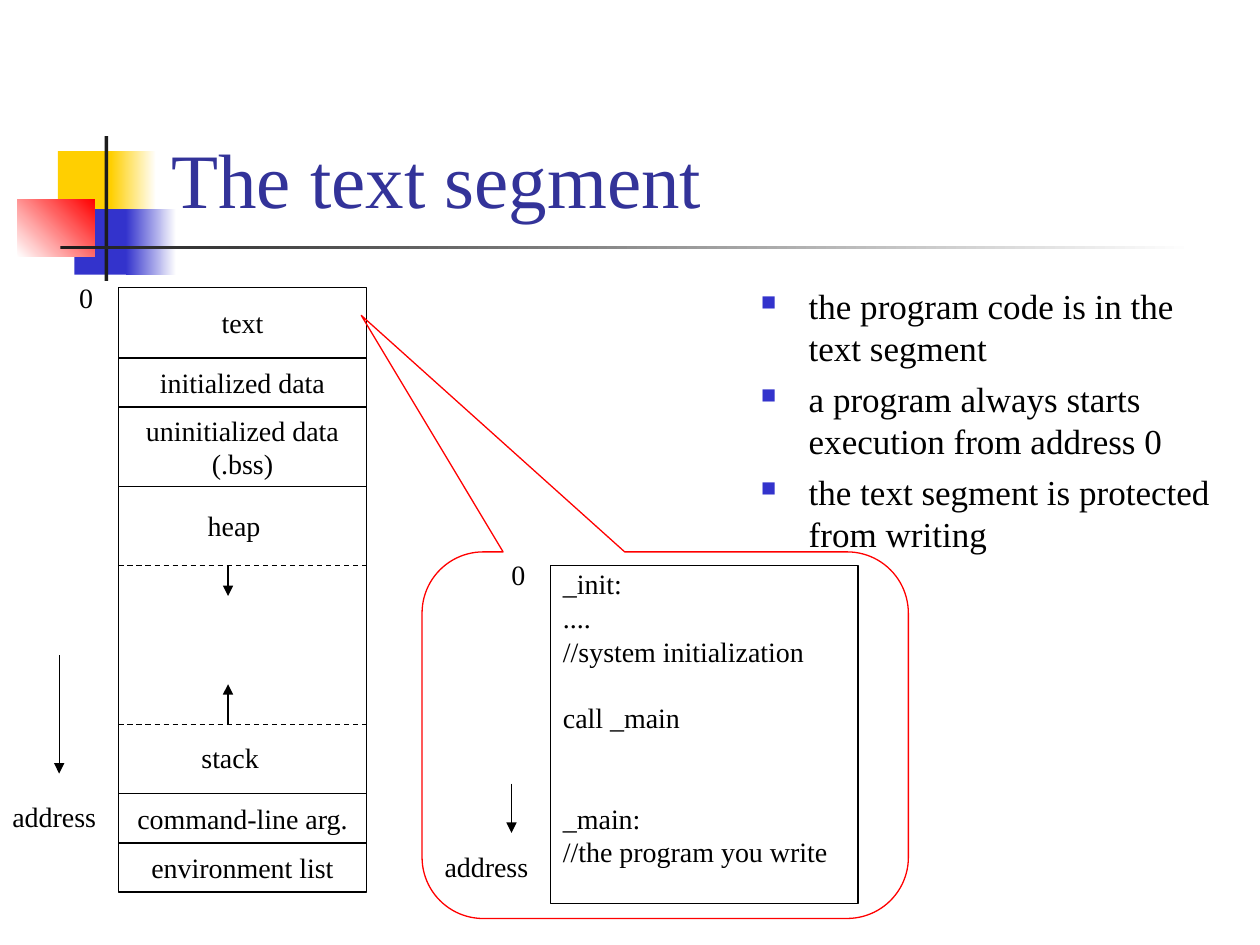
import pptx
import pptx.util
import pptx.dml.color
import pptx.enum.dml
import pptx.enum.shapes
import pptx.enum.text
import pptx.oxml
import pptx.oxml.ns
import lxml.etree

Inches, Pt = pptx.util.Inches, pptx.util.Pt
RGBColor = pptx.dml.color.RGBColor
SHAPES = pptx.enum.shapes.MSO_SHAPE
ALIGN = pptx.enum.text.PP_ALIGN
ANCHOR = pptx.enum.text.MSO_ANCHOR
qn = pptx.oxml.ns.qn

BLACK = RGBColor(0x00, 0x00, 0x00)
WHITE = RGBColor(0xFF, 0xFF, 0xFF)
YELLOW = RGBColor(0xFF, 0xCF, 0x01)
BLUE = RGBColor(0x33, 0x33, 0xCC)
RED = RGBColor(0xFF, 0x00, 0x00)
CHARCOAL = RGBColor(0x1C, 0x1C, 0x1C)
TITLE_BLUE = RGBColor(0x33, 0x33, 0x99)

FONT = "Times New Roman"
LABEL = {"size": Pt(16), "name": FONT}


def write(shape, lines, font=LABEL, color=BLACK, align=ALIGN.LEFT,
          anchor=ANCHOR.TOP, wrap=False):
    """Put one paragraph per line into a shape and return the paragraphs."""
    frame = shape.text_frame
    frame.word_wrap = wrap
    frame.vertical_anchor = anchor
    paras = []
    for index, line in enumerate(lines):
        para = frame.add_paragraph() if index else frame.paragraphs[0]
        para.alignment = align
        span = para.add_run()
        span.text = line
        for key, value in font.items():
            setattr(span.font, key, value)
        span.font.color.rgb = color
        paras.append(para)
    return paras


def add_text(page, left, top, width, height, lines, **style):
    box = page.shapes.add_textbox(*map(Inches, (left, top, width, height)))
    return write(box, lines, **style)


def add_label(page, left, top, width, text):
    """One-line label; the open right margin keeps the word whole."""
    box = page.shapes.add_textbox(*map(Inches, (left, top, width, 0.37)))
    box.text_frame.margin_right = 0
    write(box, [text], wrap=True)


def add_outline(page, left, top, width, height, color=BLACK, kind=SHAPES.RECTANGLE):
    shape = page.shapes.add_shape(kind, *map(Inches, (left, top, width, height)))
    shape.shadow.inherit = False
    shape.fill.background()
    shape.line.color.rgb = color
    shape.line.width = Pt(0.75)
    return shape


def add_block(page, left, top, width, height, start, end=None, angle=0):
    """Borderless block, plain or fading from start to end."""
    block = add_outline(page, left, top, width, height)
    block.line.fill.background()
    if end is None:
        block.fill.solid()
        block.fill.fore_color.rgb = start
        return
    block.fill.gradient()
    block.fill.gradient_angle = angle
    for stop, color in zip(block.fill.gradient_stops, (start, end)):
        stop.color.rgb = color


def add_line(page, x1, y1, x2, y2, dashed=False, arrow=False):
    line = page.shapes.add_connector(
        pptx.enum.shapes.MSO_CONNECTOR.STRAIGHT, *map(Inches, (x1, y1, x2, y2)))
    line.line.color.rgb = BLACK
    line.line.width = Pt(0.75)
    if dashed:
        line.line.dash_style = pptx.enum.dml.MSO_LINE.DASH
    properties = line._element.spPr
    if arrow:
        head = lxml.etree.SubElement(properties.find(qn("a:ln")), qn("a:tailEnd"))
        head.set("type", "triangle")
    lxml.etree.SubElement(properties, qn("a:effectLst"))


def add_ornament(page, left, top):
    """Coloured squares with a cross of dark bars."""
    for dx, dy, width, height, *colors in (
        (0.32, 0.12, 0.48, 0.52, YELLOW),
        (0.74, 0.12, 0.36, 0.52, YELLOW, WHITE),
        (0.45, 0.58, 0.46, 0.52, BLUE),
        (0.86, 0.58, 0.4, 0.52, BLUE, WHITE),
        (0, 0.5, 0.61, 0.46, WHITE, RED, 45),
        (0.69, 0, 0.03, 1.15, CHARCOAL),
        (0.34, 0.87, 9, 0.03, CHARCOAL, WHITE),
    ):
        add_block(page, left + dx, top + dy, width, height, *colors)


def add_bullets(page, left, top, width, height, lines):
    paras = add_text(page, left, top, width, height, lines,
                     font={"size": Pt(20), "name": FONT}, wrap=True)
    for index, para in enumerate(paras):
        properties = para._p.get_or_add_pPr()
        properties.set("marL", str(Inches(0.38)))
        properties.set("indent", str(-Inches(0.38)))
        color = lxml.etree.SubElement(properties, qn("a:buClr"))
        lxml.etree.SubElement(color, qn("a:srgbClr")).set("val", str(BLUE))
        lxml.etree.SubElement(properties, qn("a:buSzPct")).set("val", "60000")
        lxml.etree.SubElement(properties, qn("a:buChar")).set("char", "■")
        if index:
            para.space_before = Pt(5)


def add_address_axis(page, zero, arrow, address):
    """Labels for address 0 and the growing direction, with an arrow between."""
    add_label(page, *zero, 0.31, "0")
    x, start, end = arrow
    add_line(page, x, start, x, end, arrow=True)
    add_label(page, *address, 0.86, "address")


def add_memory_map(page, left, top, width):
    """Stacked memory segments; heap and stack share the open one."""
    segments = (
        (0.56, ["text"]),
        (0.39, ["initialized data"]),
        (0.63, ["uninitialized data", "(.bss)"]),
        (2.44, []),
        (0.39, ["command-line arg."]),
        (0.39, ["environment list"]),
    )
    y = top
    for height, lines in segments:
        segment = add_outline(page, left, y, width, height)
        write(segment, lines, align=ALIGN.CENTER, anchor=ANCHOR.MIDDLE)
        y += height

    # Heap grows down, stack grows up
    right, middle = left + width, left + 0.87
    for name, dx, label_y, name_width, edge, tip in (
        ("heap", 0.61, 1.71, 0.62, 2.21, 2.45),
        ("stack", 0.56, 3.55, 0.65, 3.47, 3.15),
    ):
        add_label(page, left + dx, top + label_y, name_width, name)
        add_line(page, left, top + edge, right, top + edge, dashed=True)
        add_line(page, middle, top + edge, middle, top + tip, arrow=True)

    add_address_axis(page, (left - 0.41, top - 0.1),
                     (left - 0.47, top + 2.92, top + 3.86),
                     (left - 0.94, top + 4.02))


def add_code_callout(page, left, top, width, height):
    callout = add_outline(page, left, top, width, height, RED,
                          SHAPES.ROUNDED_RECTANGULAR_CALLOUT)
    for index, value in enumerate((-0.625, -1.145, 0.167)):
        callout.adjustments[index] = value

    # Code listing, with line gaps before the call and the main routine
    listing = add_outline(page, left + 1.02, top + 0.11, 2.44, 2.68)
    listing.text_frame.margin_top = Inches(0.01)
    paras = write(listing, ["_init:", "....", "//system initialization",
                            "call _main", "_main:", "//the program you write"],
                  wrap=True)
    for index, gap in ((3, 19), (4, 38)):
        paras[index].space_before = Pt(gap)

    add_address_axis(page, (left + 0.61, top),
                     (left + 0.71, top + 1.84, top + 2.23),
                     (left + 0.08, top + 2.31))


def main():
    deck = pptx.Presentation()
    deck.slide_width, deck.slide_height = Inches(10), Inches(7.5)
    page = deck.slides.add_slide(deck.slide_layouts[6])
    add_ornament(page, 0.14, 1.08)
    add_text(page, 1.26, 0.23, 8.52, 1.6, ["The text segment"],
             font={"size": Pt(44), "name": FONT}, color=TITLE_BLUE,
             anchor=ANCHOR.BOTTOM, wrap=True)
    add_bullets(page, 5.94, 2.21, 3.85, 4.5, [
        "the program code is in the text segment",
        "a program always starts execution from address 0",
        "the text segment is protected from writing",
    ])
    add_memory_map(page, 0.94, 2.28, 1.97)
    add_code_callout(page, 3.35, 4.38, 3.86, 2.91)
    deck.save("out.pptx")


if __name__ == "__main__":
    main()
